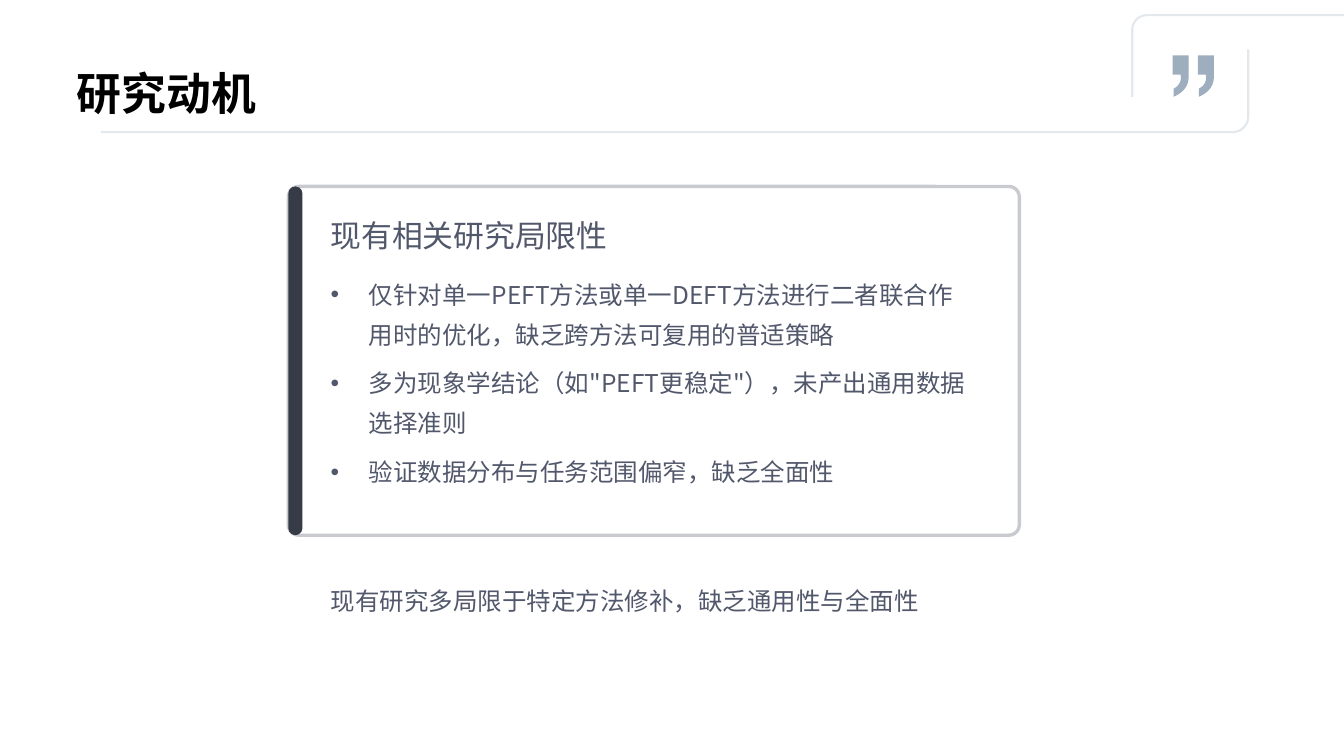
"""Build the research motivation slide with its list of limitations."""
import pptx
import pptx.dml.color
import pptx.enum.shapes
import pptx.enum.text
import pptx.oxml.ns
import pptx.util
from lxml import etree
from pptx.util import Inches

COLORS = {"accent": "768CA4", "title": "000000", "text": "52586B",
          "card": "FFFFFF", "border": "C8CACF", "bar": "373B48"}
CJK_FONT = "Noto Sans CJK SC"
LIMITATIONS = [
    "仅针对单一PEFT方法或单一DEFT方法进行二者联合作用时的优化，缺乏跨方法可复用的普适策略",
    "多为现象学结论（如\"PEFT更稳定\"），未产出通用数据选择准则",
    "验证数据分布与任务范围偏窄，缺乏全面性",
]


def add_element(parent, tag, **attributes):
    return etree.SubElement(parent, pptx.oxml.ns.qn(tag), attributes)


def paint(fill, color, opacity):
    fill.solid()
    fill.fore_color.rgb = pptx.dml.color.RGBColor.from_string(COLORS[color])
    if opacity < 100:
        add_element(fill.fore_color._xFill[0], "a:alpha", val=str(opacity * 1000))


def style(shape, fill=None, fill_opacity=100, line=None, line_width=0, line_opacity=100):
    shape.shadow.inherit = False
    if fill:
        paint(shape.fill, fill, fill_opacity)
    else:
        shape.fill.background()
    if line:
        shape.line.width = pptx.util.Pt(line_width)
        paint(shape.line.fill, line, line_opacity)
    else:
        shape.line.fill.background()


def curve(start, control_1, control_2, end, steps=12):
    points = []
    for step in range(1, steps + 1):
        t = step / steps
        weights = ((1 - t) ** 3, 3 * t * (1 - t) ** 2, 3 * t ** 2 * (1 - t), t ** 3)
        anchors = (start, control_1, control_2, end)
        points.append(tuple(sum(w * p[axis] for w, p in zip(weights, anchors))
                            for axis in (0, 1)))
    return points


def add_outline(slide, points, close=False, **look):
    corners = [(Inches(x), Inches(y)) for x, y in points]
    builder = slide.shapes.build_freeform(*corners[0])
    builder.add_line_segments(corners[1:], close=close)
    style(builder.convert_to_shape(), **look)


def add_quote_mark(slide, left):
    def at(x, y):
        return left + x, y

    tail = curve(at(0.01, 0.88), at(0.07, 0.85), at(0.09, 0.8), at(0.08, 0.74))
    back = curve(at(0.16, 0.76), at(0.16, 0.85), at(0.11, 0.92), at(0.01, 0.96))
    points = [at(0.01, 0.96), at(0.01, 0.88), *tail, at(0, 0.74), at(0, 0.55),
              at(0.16, 0.55), at(0.16, 0.76), *back]
    add_outline(slide, points, close=True, fill="accent", fill_opacity=70)


def add_frame(slide):
    upper = [(11.23, 0.96), (11.23, 0.3),
             *curve((11.23, 0.3), (11.23, 0.21), (11.3, 0.15), (11.38, 0.15)),
             (13.33, 0.15)]
    lower = [(1, 1.31), (12.23, 1.31),
             *curve((12.23, 1.31), (12.31, 1.31), (12.38, 1.24), (12.38, 1.16)),
             (12.38, 0.49)]
    for points in (upper, lower):
        add_outline(slide, points, line="accent", line_width=1.5, line_opacity=20)


def add_rounded(slide, left, top, width, height, rounding, **look):
    panel = slide.shapes.add_shape(
        pptx.enum.shapes.MSO_SHAPE.ROUNDED_RECTANGLE,
        Inches(left), Inches(top), Inches(width), Inches(height))
    panel.adjustments[0] = rounding
    style(panel, **look)


def add_text(slide, box, text, size, color="text", font=CJK_FONT, spacing=None,
             bold=False, bullet=False, anchor="TOP"):
    frame = slide.shapes.add_textbox(*(Inches(length) for length in box)).text_frame
    frame.word_wrap = True
    frame.margin_left = frame.margin_top = frame.margin_right = frame.margin_bottom = 0
    frame.vertical_anchor = getattr(pptx.enum.text.MSO_ANCHOR, anchor)
    paragraph = frame.paragraphs[0]
    if spacing:
        paragraph.line_spacing = pptx.util.Pt(spacing)
    if bullet:
        properties = paragraph._p.get_or_add_pPr()
        indent = Inches(0.38)
        properties.set("marL", str(indent))
        properties.set("indent", str(-indent))
        add_element(properties, "a:buFont", typeface="Arial")
        add_element(properties, "a:buChar", char="•")
    run = paragraph.add_run()
    run.text = text
    run.font.name = font
    run.font.size = pptx.util.Pt(size)
    run.font.bold = bold
    run.font.color.rgb = pptx.dml.color.RGBColor.from_string(COLORS[color])
    add_element(run._r.get_or_add_rPr(), "a:ea", typeface=CJK_FONT)


def main():
    deck = pptx.Presentation()
    deck.slide_width, deck.slide_height = Inches(13.33), Inches(7.5)
    slide = deck.slides.add_slide(deck.slide_layouts[6])

    for left in (11.63, 11.88):
        add_quote_mark(slide, left)
    add_frame(slide)
    add_text(slide, (0.76, 0.39, 11.81, 0.79), "研究动机", 32, color="title",
             font="Arial", bold=True, anchor="BOTTOM")

    add_rounded(slide, 2.86, 1.85, 7.25, 3.46, 0.03, fill="card", fill_opacity=95,
                line="border", line_width=2.4)
    add_rounded(slide, 2.86, 1.85, 0.14, 3.46, 0.5, fill="bar")
    add_text(slide, (3.28, 2.13, 3.12, 0.39), "现有相关研究局限性", 22, spacing=27.5)
    for row, limitation in enumerate(LIMITATIONS):
        add_text(slide, (3.28, 2.67 + 0.88 * row, 6.36, 0.79), limitation, 17.5,
                 spacing=28.5, bullet=True)
    add_text(slide, (3.28, 5.71, 6.95, 0.75),
             "现有研究多局限于特定方法修补，缺乏通用性与全面性", 17.5, spacing=28.5)
    deck.save("out.pptx")


if __name__ == "__main__":
    main()
